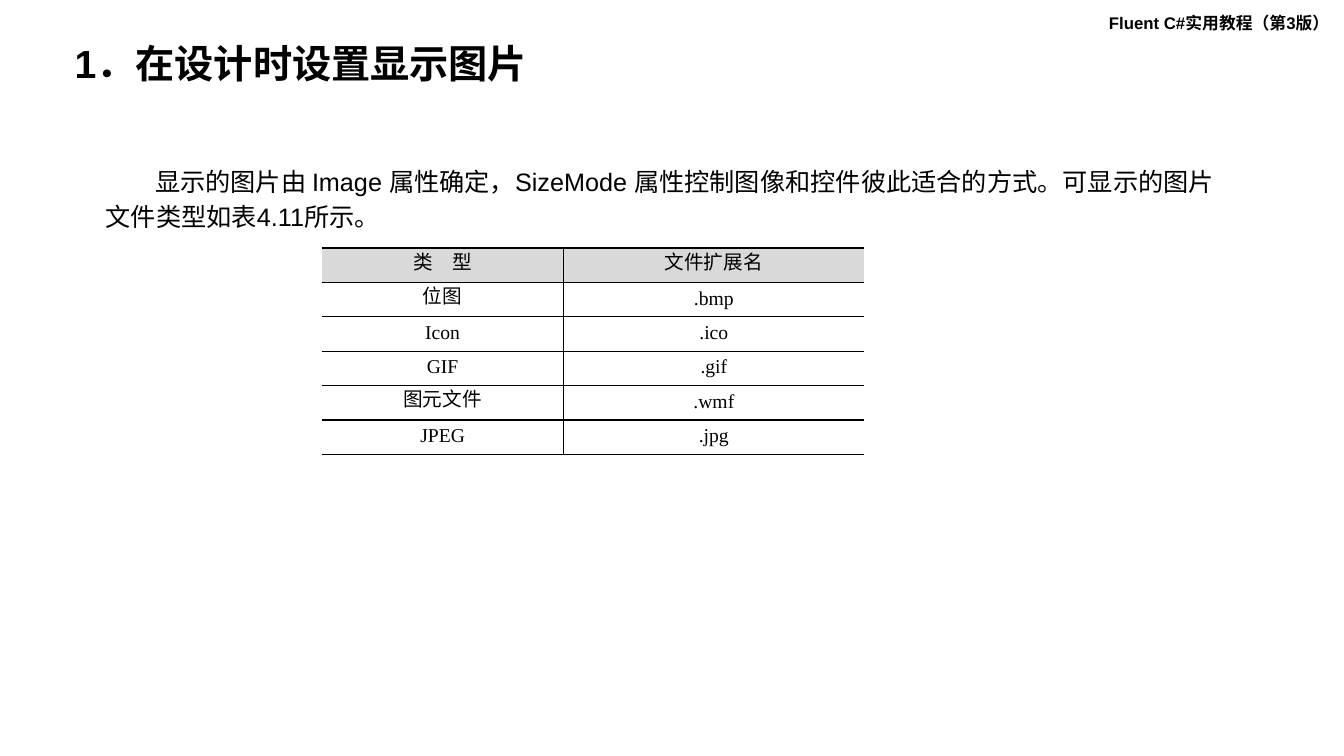
from dataclasses import dataclass

from lxml.etree import SubElement
from pptx import Presentation
from pptx.dml.color import RGBColor
from pptx.enum.text import MSO_ANCHOR as Anchor, PP_ALIGN as Align
from pptx.oxml.ns import qn
from pptx.util import Inches, Pt


@dataclass(frozen=True)
class Theme:
    ink: str = "000000"
    header_fill: str = "D9D9D9"
    sans: str = "Arial"
    serif: str = "Times New Roman"
    title_size: int = 28
    body_size: int = 18
    table_size: int = 14
    label_size: int = 12
    border: int = 1


THEME = Theme()

FILE_TYPES = [
    ("类　型", "文件扩展名"),
    ("位图", ".bmp"),
    ("Icon", ".ico"),
    ("GIF", ".gif"),
    ("图元文件", ".wmf"),
    ("JPEG", ".jpg"),
]


def write_text(frame, text, *, size, font=THEME.sans, bold=False, align=Align.LEFT,
               anchor=Anchor.TOP, line_spacing=None, first_indent=0, margin_top=0.05):
    frame.word_wrap = True
    frame.vertical_anchor = anchor
    frame.margin_top = Inches(margin_top)
    paragraph = frame.paragraphs[0]
    paragraph.text = text
    paragraph.alignment = align
    if line_spacing:
        paragraph.line_spacing = line_spacing
    if first_indent:
        paragraph._p.get_or_add_pPr().set("indent", str(Inches(first_indent)))
    run_font = paragraph.runs[0].font
    run_font.name = font
    run_font.size = Pt(size)
    run_font.bold = bold
    run_font.color.rgb = RGBColor.from_string(THEME.ink)


def add_text(slide, box, text, **text_format):
    shape = slide.shapes.add_textbox(*map(Inches, box))
    write_text(shape.text_frame, text, **text_format)


def place_title(slide, box, text):
    title = slide.shapes.title
    title.left, title.top, title.width, title.height = map(Inches, box)
    write_text(title.text_frame, text, size=THEME.title_size, bold=True,
               anchor=Anchor.MIDDLE, line_spacing=0.9)


def set_borders(cell, visible_sides):
    properties = cell._tc.get_or_add_tcPr()
    for side in "LRTB":
        line = SubElement(properties, qn(f"a:ln{side}"), w=str(Pt(THEME.border)))
        if side in visible_sides:
            fill = SubElement(line, qn("a:solidFill"))
            SubElement(fill, qn("a:srgbClr"), val=THEME.ink)
        else:
            SubElement(line, qn("a:noFill"))


def add_type_table(slide, box, rows, column_widths):
    shape = slide.shapes.add_table(len(rows), len(column_widths), *map(Inches, box))
    table = shape.table
    table.first_row = False
    table.horz_banding = False
    for column, width in zip(table.columns, column_widths):
        column.width = Inches(width)
    for row_index, values in enumerate(rows):
        for column_index, value in enumerate(values):
            cell = table.cell(row_index, column_index)
            write_text(cell.text_frame, value, size=THEME.table_size, font=THEME.serif,
                       align=Align.CENTER, line_spacing=Pt(14))
            cell.margin_left = cell.margin_right = Inches(0.01)
            cell.margin_top = cell.margin_bottom = Inches(0.01)
            cell.vertical_anchor = Anchor.MIDDLE
            set_borders(cell, "TBR" if column_index == 0 else "TBL")
            if row_index == 0:
                cell.fill.solid()
                cell.fill.fore_color.rgb = RGBColor.from_string(THEME.header_fill)
            else:
                cell.fill.background()


def build_slide(presentation):
    slide = presentation.slides.add_slide(presentation.slide_layouts[5])
    add_text(slide, (10.9, 0.08, 2.44, 0.3), "Fluent C#实用教程（第3版）",
             size=THEME.label_size, bold=True)
    place_title(slide, (0.64, 0.39, 6.34, 0.52), "1．在设计时设置显示图片")
    add_text(slide, (0.95, 1.6, 11.19, 0.71),
             "显示的图片由 Image 属性确定，SizeMode 属性控制图像和控件彼此适合的方式。"
             "可显示的图片文件类型如表4.11所示。",
             size=THEME.body_size, first_indent=0.49, line_spacing=Pt(25), margin_top=0)
    add_type_table(slide, (3.19, 2.46, 5.38, 2.05), FILE_TYPES, (2.4, 2.98))


def main():
    presentation = Presentation()
    presentation.slide_width = Inches(13.33)
    presentation.slide_height = Inches(7.5)
    build_slide(presentation)
    presentation.save("out.pptx")


if __name__ == "__main__":
    main()
